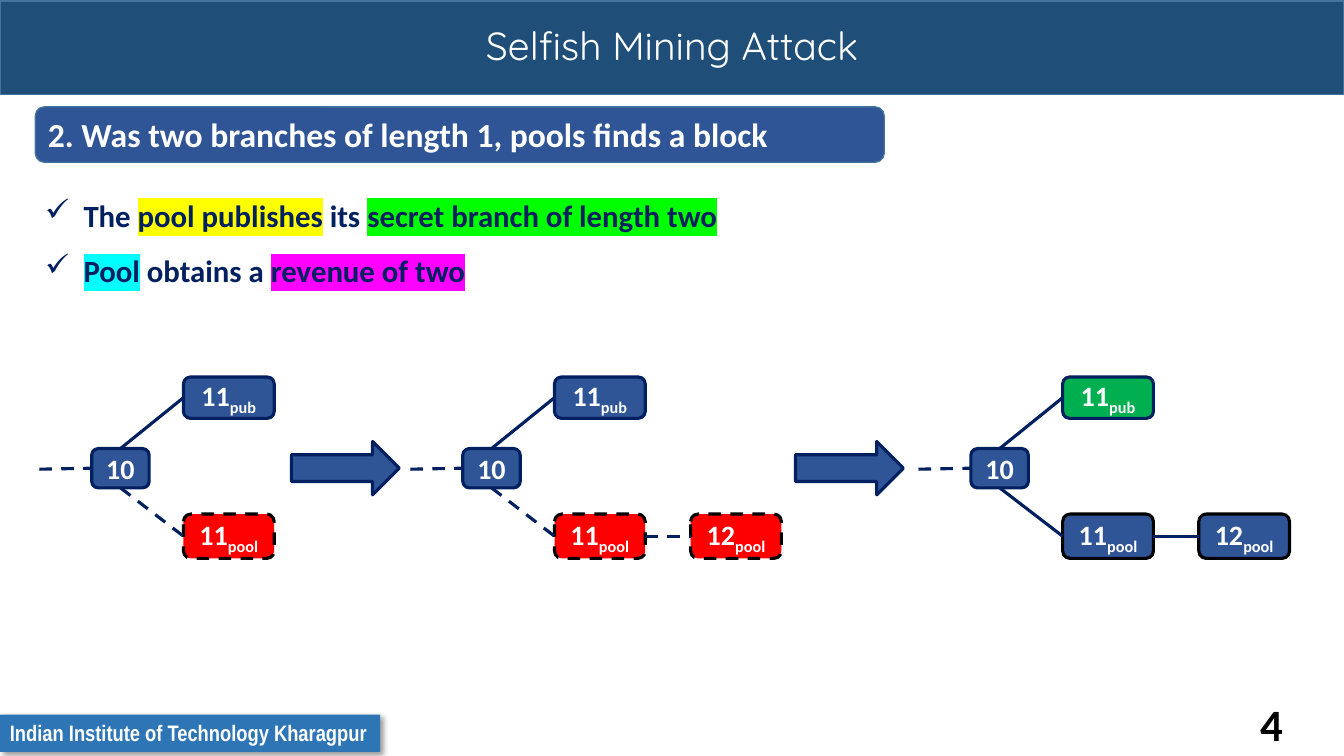
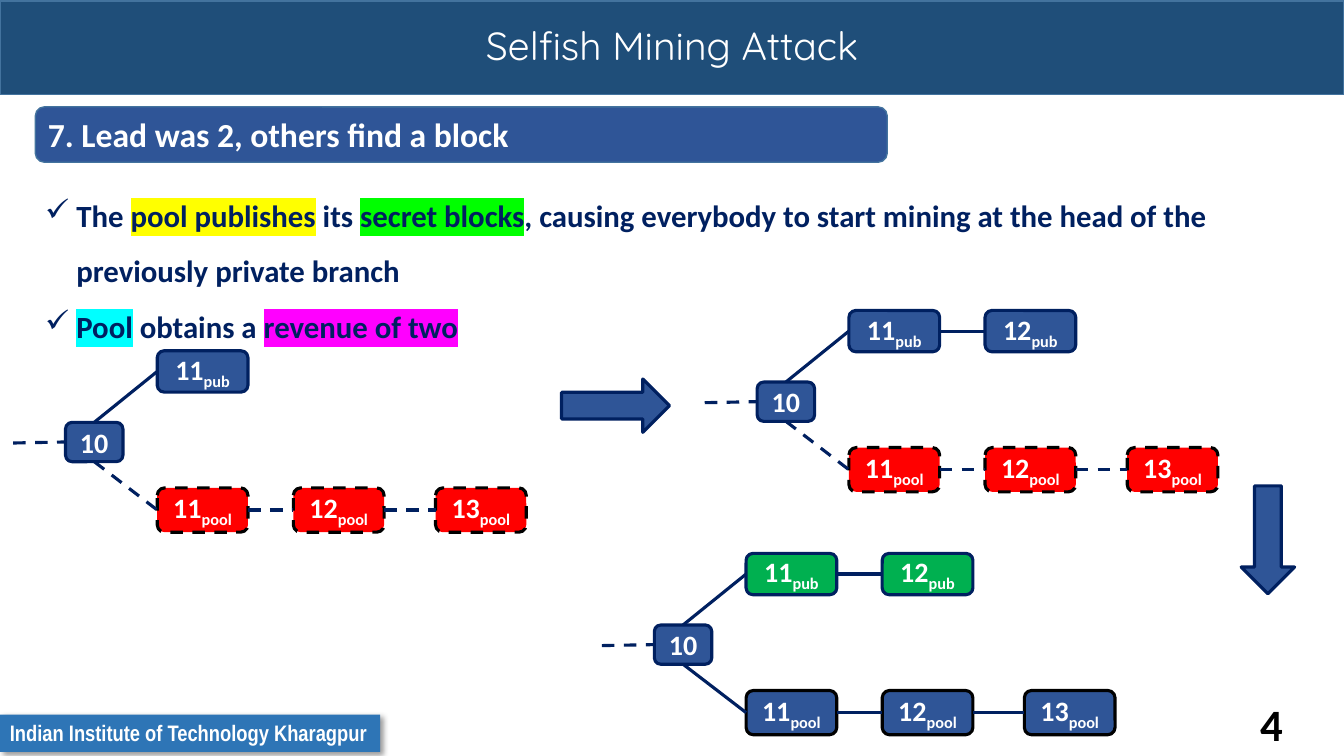
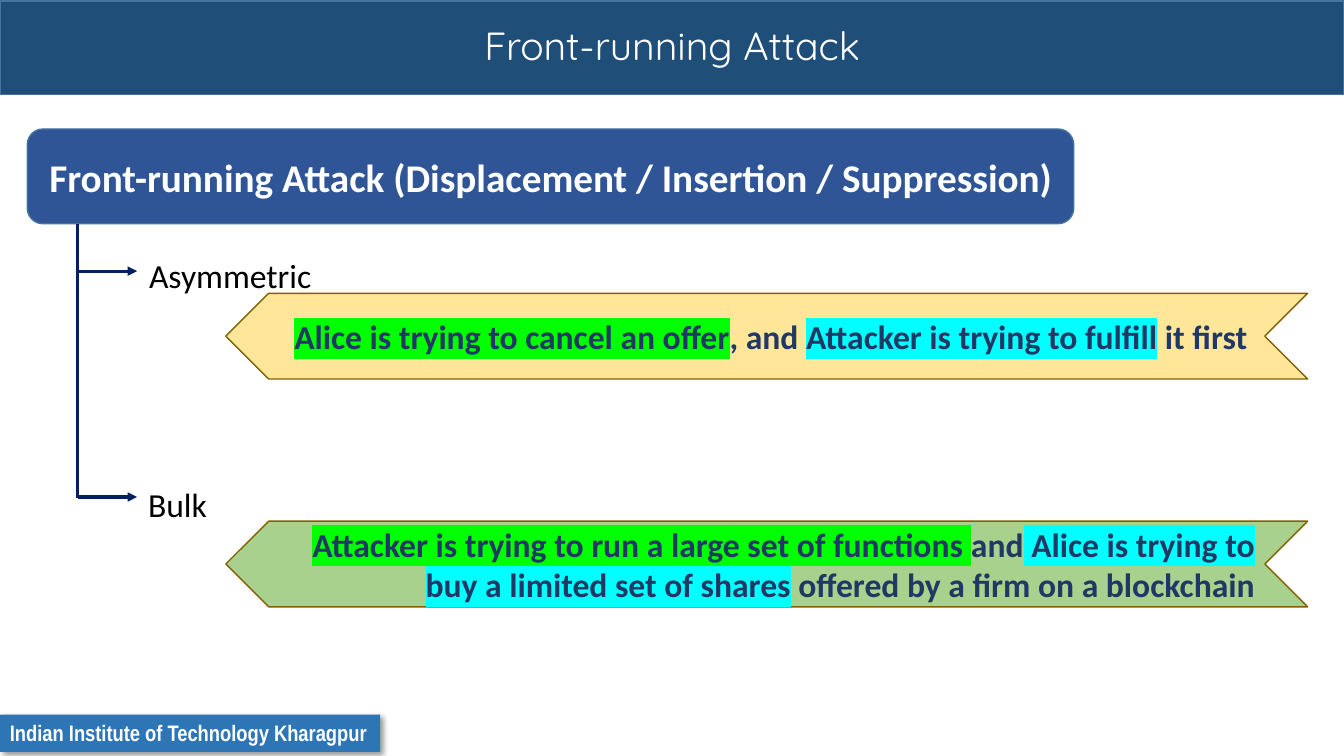
from lxml.etree import SubElement
from pptx import Presentation
from pptx.dml.color import RGBColor
from pptx.enum.dml import MSO_LINE
from pptx.enum.shapes import MSO_CONNECTOR, MSO_SHAPE
from pptx.enum.text import MSO_ANCHOR, PP_ALIGN
from pptx.oxml.ns import qn
from pptx.util import Inches, Pt

# Shared colours and text styles
NAVY, BLUE, EDGE = "002060", "2F5597", "43739E"
RED, GREEN, BLACK, WHITE = "FF0000", "00B050", "000000", "FFFFFF"
YELLOW, LIME, CYAN, PINK = "FFFF00", "00FF00", "00FFFF", "FF00FF"

TITLE = dict(name="Quicksand", size=28, color=WHITE)
FOOTER = dict(name="Arial Narrow", size=16, color=WHITE, bold=True)
NUMBER = dict(name="Calibri", size=32, color=BLACK, bold=True)
HEADING = dict(name="Calibri", size=24, color=WHITE, bold=True)
BIG_HEADING = {**HEADING, "size": 28}
BULLET = dict(name="Calibri", size=22, color=NAVY, bold=True)
BLOCK = dict(name="Calibri", size=20, color=WHITE, bold=True)
LABEL = dict(name="Calibri", size=24, color=BLACK)
BANNER = dict(name="Calibri", size=24, color="203864", bold=True)

INSTITUTE = "Indian Institute of Technology Kharagpur"

# Content: runs are (text, highlight); forks are root position, public and
# pool branch lengths, public colour, and whether the pool branch is secret
MINING_PAGES = [
    dict(
        title="Selfish Mining Attack", number="4",
        heading="2. Was two branches of length 1, pools finds a block",
        heading_width=8.42,
        bullets=[
            [("The ", None), ("pool publishes", YELLOW), (" its ", None),
             ("secret branch of length two", LIME)],
            [("Pool", CYAN), (" obtains a ", None), ("revenue of two", PINK)],
        ],
        bullet_box=(0.35, 1.72, 12.31, 1.15), indent=0.38,
        forks=[
            (0.91, 4.45, 1, 1, BLUE, True),
            (4.59, 4.45, 1, 2, BLUE, True),
            (9.63, 4.45, 1, 2, GREEN, False),
        ],
        arrows=[(2.89, 4.38, 0), (7.89, 4.38, 0)],
    ),
    dict(
        title="Selfish Mining Attack", number="4",
        heading="7. Lead was 2, others find a block",
        heading_width=8.45,
        bullets=[
            [("The ", None), ("pool publishes", YELLOW), (" its ", None),
             ("secret blocks", LIME),
             (", causing everybody to start mining at the head of the "
              "previously private branch", None)],
            [("Pool", CYAN), (" obtains a ", None), ("revenue of two", PINK)],
        ],
        bullet_box=(0.35, 1.72, 12.93, 1.71), indent=0.31,
        forks=[
            (0.65, 4.19, 1, 3, BLUE, True),
            (7.51, 3.79, 2, 3, BLUE, True),
            (6.49, 6.2, 2, 3, GREEN, False),
        ],
        arrows=[(5.57, 3.76, 0), (12.04, 5.09, 90)],
    ),
]

FRONT_RUNNING = dict(
    title="Front-running Attack",
    heading="Front-running Attack (Displacement / Insertion / Suppression)",
    kinds=[
        ("Asymmetric", (1.38, 2.48, 2.99, 0.5), 2.69, 2.91, "FFE699",
         [("Alice is trying to cancel an offer", LIME), (", and ", None),
          ("Attacker is trying to fulfill", CYAN), (" it first ", None)]),
        ("Bulk", (1.37, 4.75, 3.91, 0.5), 4.93, 5.17, "A9D18E",
         [("Attacker is trying to run a large set of functions ", LIME),
          ("and", None),
          (" Alice is trying to buy a limited set of shares", CYAN),
          (" offered by a firm on a blockchain", None)]),
    ],
)

# Fork geometry, relative to the root block
ROOT_SIZE = (0.57, 0.39)
COLUMNS = [0.91, 2.26, 3.67]
BLOCK_WIDTH = 0.9
PUB_TOP, PUB_HEIGHT = -0.71, 0.41
POOL_TOP, POOL_HEIGHT = 0.65, 0.44
STUB = 0.52
TOP, LEFT, BOTTOM, RIGHT = range(4)


def rgb(value):
    return RGBColor.from_string(value)


def write(paragraph, runs, style):
    for text, highlight in runs:
        span = paragraph.add_run()
        span.text = text
        for key, value in style.items():
            if key == "color":
                span.font.color.rgb = rgb(value)
            else:
                setattr(span.font, key, Pt(value) if key == "size" else value)
        if highlight:
            properties = span.font._element
            mark = SubElement(properties, qn("a:highlight"))
            SubElement(mark, qn("a:srgbClr"), val=highlight)
            properties.find(qn("a:solidFill")).addnext(mark)


def add_box(page, preset, place, fill, line, weight=1, dashed=False):
    box = page.shapes.add_shape(preset, *map(Inches, place))
    box.shadow.inherit = False
    box.fill.solid()
    box.fill.fore_color.rgb = rgb(fill)
    if line:
        box.line.color.rgb = rgb(line)
        box.line.width = Pt(weight)
        if dashed:
            box.line.dash_style = MSO_LINE.DASH
    else:
        box.line.fill.background()
    return box


def fill_text(box, runs, style, align=PP_ALIGN.LEFT, anchor=MSO_ANCHOR.MIDDLE):
    frame = box.text_frame
    frame.word_wrap = True
    frame.vertical_anchor = anchor
    paragraph = frame.paragraphs[0]
    paragraph.alignment = align
    write(paragraph, runs, style)
    return paragraph


def add_label(page, place, text, style):
    box = page.shapes.add_textbox(*map(Inches, place))
    fill_text(box, [(text, None)], style, anchor=MSO_ANCHOR.TOP)


def add_line(page, start, end, dashed=False, arrow=False):
    line = page.shapes.add_connector(
        MSO_CONNECTOR.STRAIGHT, *map(Inches, (*start, *end)))
    line.line.color.rgb = rgb(NAVY)
    line.line.width = Pt(2.25)
    if dashed:
        line.line.dash_style = MSO_LINE.DASH
    if arrow:
        SubElement(line.line._get_or_add_ln(), qn("a:tailEnd"), type="triangle")
    SubElement(line._element.spPr, qn("a:effectLst"))
    return line


def join(page, first, first_side, second, second_side, dashed):
    line = add_line(page, (0, 0), (1, 1), dashed)
    line.begin_connect(first, first_side)
    line.end_connect(second, second_side)


def start_page(deck, title, number=None):
    page = deck.slides.add_slide(deck.slide_layouts[6])
    # Title band
    band = add_box(page, MSO_SHAPE.RECTANGLE, (0, 0.01, 13.33, 0.93), "1F4E79", EDGE)
    fill_text(band, [(title, None)], TITLE, PP_ALIGN.CENTER).line_spacing = 0.9
    # Footer tag with a soft shadow
    tag = add_box(page, MSO_SHAPE.RECTANGLE, (0, 7.09, 3.77, 0.37), "2E75B6", None)
    fill_text(tag, [(INSTITUTE, None)], FOOTER, anchor=MSO_ANCHOR.TOP)
    tag.text_frame.word_wrap = False
    effects = tag._element.spPr.find(qn("a:effectLst"))
    shadow = SubElement(effects, qn("a:outerShdw"), blurRad=str(Pt(4)),
                        dist=str(Pt(3)), dir="2700000", algn="tl", rotWithShape="0")
    colour = SubElement(shadow, qn("a:srgbClr"), val=BLACK)
    SubElement(colour, qn("a:alpha"), val="40000")
    if number:
        add_label(page, (12.4, 6.86, 0.87, 0.64), number, NUMBER)
    return page


def add_heading(page, place, text, style, align=PP_ALIGN.LEFT):
    box = add_box(page, MSO_SHAPE.ROUNDED_RECTANGLE, place, BLUE, EDGE)
    fill_text(box, [(text, None)], style, align)


def add_bullets(page, place, items, indent):
    frame = page.shapes.add_textbox(*map(Inches, place)).text_frame
    frame.word_wrap = True
    for index, runs in enumerate(items):
        paragraph = frame.add_paragraph() if index else frame.paragraphs[0]
        paragraph.line_spacing = 1.5
        properties = paragraph._p.get_or_add_pPr()
        properties.set("marL", str(Inches(indent)))
        properties.set("indent", str(-Inches(indent)))
        SubElement(properties, qn("a:buChar"), char="✓")
        write(paragraph, runs, BULLET)


def add_block(page, place, text, subscript, fill, line, dashed=False):
    block = add_box(page, MSO_SHAPE.ROUNDED_RECTANGLE, place, fill, line, 2.25, dashed)
    paragraph = fill_text(block, [(text, None)], BLOCK, PP_ALIGN.CENTER)
    if subscript:
        write(paragraph, [(subscript, None)], BLOCK)
        paragraph.runs[-1].font._element.set("baseline", "-25000")
    return block


def add_fork(page, x, y, pub_count, pool_count, pub_fill, secret):
    root = add_block(page, (x, y, *ROOT_SIZE), "10", "", BLUE, NAVY)
    middle = y + ROOT_SIZE[1] / 2
    stub = add_line(page, (x - STUB, middle + 0.01), (x, middle), dashed=True)
    stub.end_connect(root, LEFT)
    branches = [
        ("pub", pub_count, PUB_TOP, PUB_HEIGHT, pub_fill, NAVY, False, TOP),
        ("pool", pool_count, POOL_TOP, POOL_HEIGHT, RED if secret else BLUE,
         BLACK, secret, BOTTOM),
    ]
    for name, count, top, height, fill, line, dashed, side in branches:
        previous = root
        for index, column in enumerate(COLUMNS[:count]):
            place = (x + column, y + top, BLOCK_WIDTH, height)
            block = add_block(page, place, str(11 + index), name, fill, line, dashed)
            join(page, previous, side, block, LEFT, dashed)
            previous, side = block, RIGHT


def build_mining(deck, content):
    page = start_page(deck, content["title"], content["number"])
    add_heading(page, (0.35, 1.06, content["heading_width"], 0.55),
                content["heading"], HEADING)
    add_bullets(page, content["bullet_box"], content["bullets"], content["indent"])
    for fork in content["forks"]:
        add_fork(page, *fork)
    for x, y, turn in content["arrows"]:
        arrow = add_box(page, MSO_SHAPE.RIGHT_ARROW, (x, y, 1.07, 0.53), BLUE, NAVY, 2.25)
        arrow.rotation = turn


def build_front_running(deck, content):
    page = start_page(deck, content["title"])
    add_heading(page, (0.27, 1.28, 10.38, 0.94), content["heading"],
                BIG_HEADING, PP_ALIGN.CENTER)
    # Trunk with one arrow, label and banner for each kind
    trunk = 0.77
    add_line(page, (trunk, 2.22), (trunk, 4.94))
    for name, label_place, arrow_y, banner_y, fill, runs in content["kinds"]:
        add_line(page, (trunk, arrow_y), (1.36, arrow_y), arrow=True)
        add_label(page, label_place, name, LABEL)
        banner = add_box(page, MSO_SHAPE.CHEVRON, (2.24, banner_y, 10.73, 0.85),
                         fill, "806000")
        banner._element.spPr.find(qn("a:xfrm")).set("flipH", "1")
        fill_text(banner, runs, BANNER, PP_ALIGN.RIGHT)


def main():
    deck = Presentation()
    deck.slide_width, deck.slide_height = Inches(13.33), Inches(7.5)
    for content in MINING_PAGES:
        build_mining(deck, content)
    build_front_running(deck, FRONT_RUNNING)
    deck.save("out.pptx")


if __name__ == "__main__":
    main()
